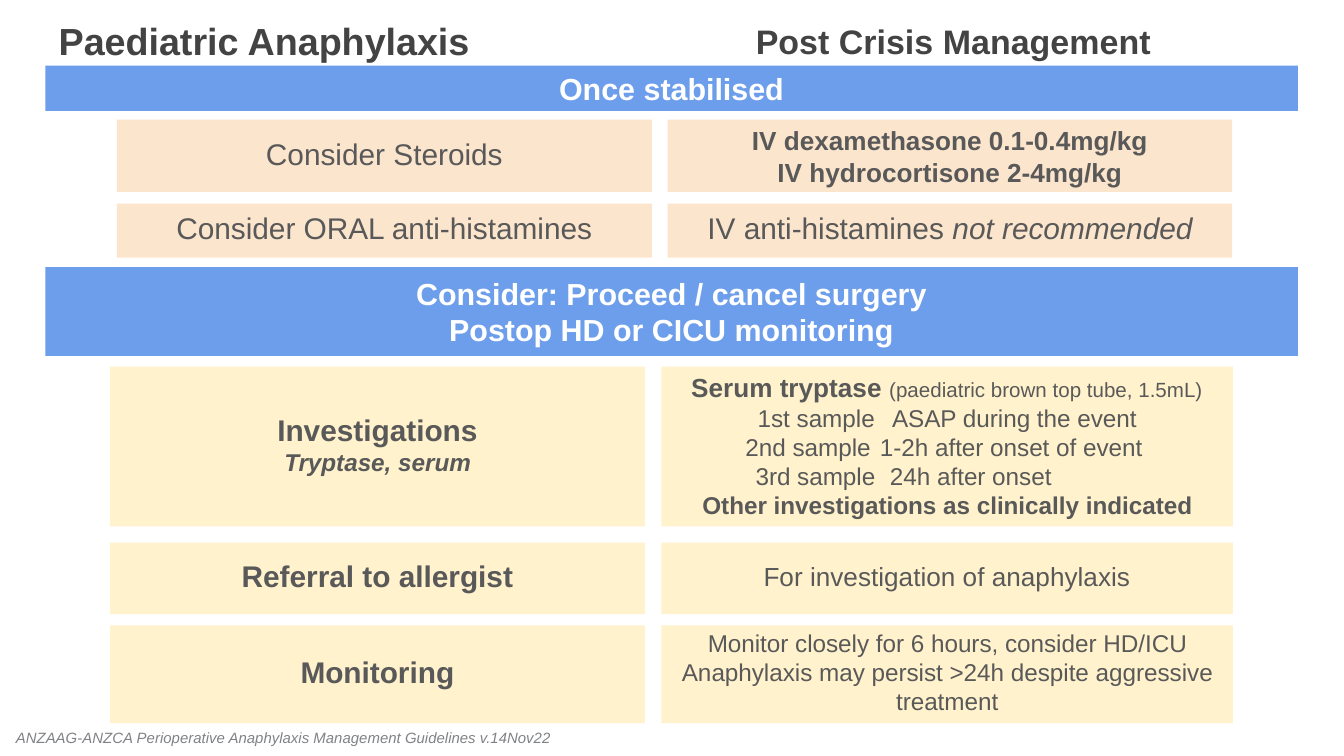
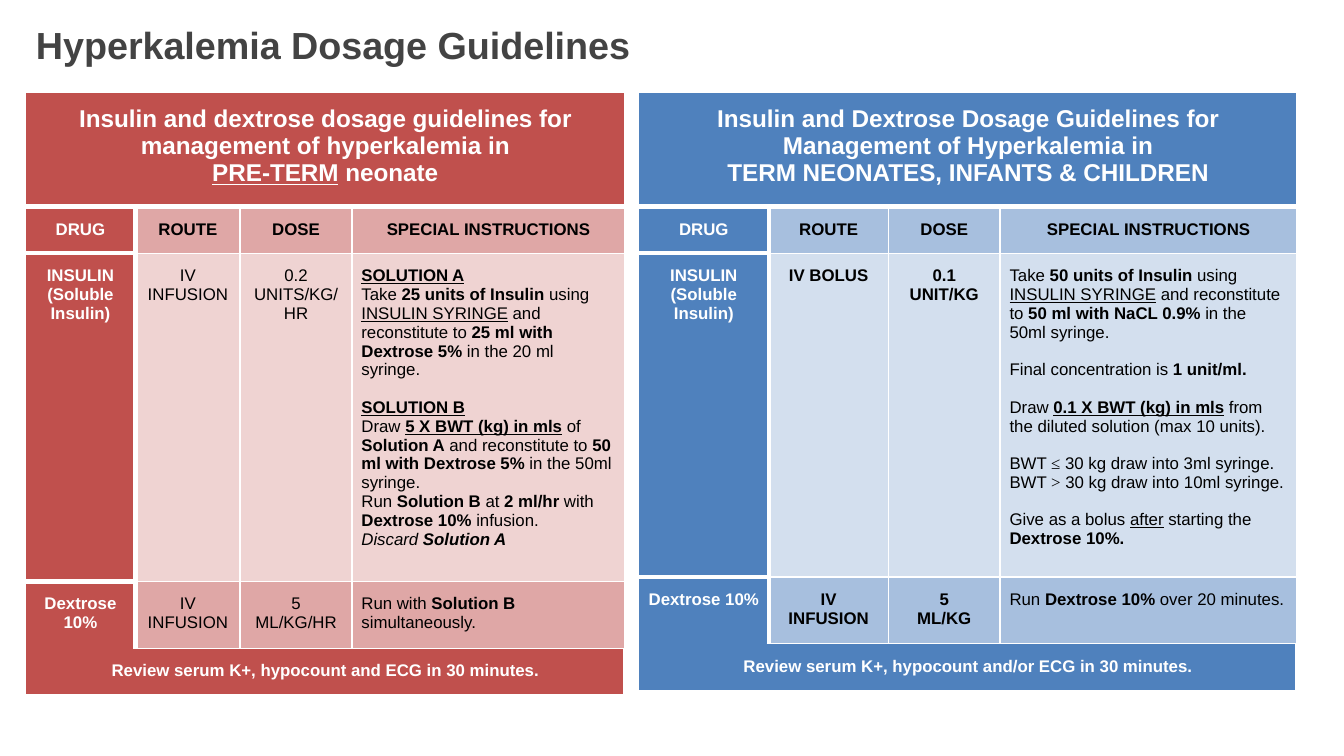
from itertools import accumulate

from lxml import etree
from pptx import Presentation
from pptx.dml.color import RGBColor
from pptx.enum.shapes import MSO_SHAPE
from pptx.enum.text import MSO_ANCHOR, PP_ALIGN
from pptx.oxml.ns import qn
from pptx.util import Cm, Pt

RECT = MSO_SHAPE.RECTANGLE
TOP, MIDDLE = MSO_ANCHOR.TOP, MSO_ANCHOR.MIDDLE
LEFT, CENTER = PP_ALIGN.LEFT, PP_ALIGN.CENTER

COLORS = {
    "white": "FFFFFF", "black": "000000", "title": "434343", "body": "595959",
    "source": "808285", "band": "6D9EEB", "peach": "FCE5CD", "cream": "FFF2CC",
    "red": "C0504D", "red_mid": "DFA7A6", "red_light": "EFD3D2",
    "blue": "4F81BD", "blue_mid": "A7BFDE", "blue_light": "D3DFEE",
}
FONT = "Arial"
SYMBOL = {"name": "Times New Roman"}
B, I, U = {"bold": True}, {"italic": True}, {"underline": True}
BU, BI = {**B, **U}, {**B, **I}
GAP = {"before": 10}
NO_STYLE = "{2D5ABB26-0587-4C30-8999-92F81FD0307C}"
THIN, THICK = 0.91, 2.73

TITLE = {"size": 20.2, "color": "title", "bold": True}
SUBTITLE = {**TITLE, "size": 18.2}
BAND = {"size": 16.3, "color": "white", "bold": True}
LARGE = {"size": 16, "color": "body"}
MEDIUM = {"size": 14, "color": "body"}
SMALL = {"size": 13, "color": "body"}
SOURCE = {"size": 8, "color": "source", "italic": True}

BANDS = [
    (1.24, 0.86, ["Once stabilised"]),
    (5.05, 1.68, ["Consider: Proceed / cancel surgery",
                  "Postop HD or CICU monitoring"]),
]

CARD_GROUPS = [
    ("peach", [(2.21, 10.11), (12.62, 10.67)], [
        (2.26, 1.37,
         (LARGE, MIDDLE, ["Consider Steroids"]),
         ({**MEDIUM, **B}, TOP, ["IV dexamethasone 0.1-0.4mg/kg",
                                 "IV hydrocortisone 2-4mg/kg"])),
        (3.85, 1.02,
         (LARGE, MIDDLE, ["Consider ORAL anti-histamines"]),
         (LARGE, MIDDLE, [["IV anti-histamines ", ("not recommended", I)]])),
    ]),
    ("cream", [(2.08, 10.11), (12.5, 10.8)], [
        (6.93, 3.02,
         ({**LARGE, **B}, MIDDLE,
          ["Investigations", [("Tryptase, serum", {**I, "size": 13})]]),
         (SMALL, TOP, [
             [("Serum tryptase ", {**B, "size": 14}),
              ("(paediatric brown top tube, 1.5mL)", {"size": 11})],
             ({"indent": 1.57, "tab": 4.1}, ["1st sample\tASAP during the event"]),
             ({"indent": 1.34, "tab": 4.01}, ["2nd sample\t1-2h after onset of event"]),
             ({"indent": 1.53, "tab": 5.46}, ["3rd sample\t24h after onset"]),
             [("Other investigations as clinically indicated", B)]])),
        (10.26, 1.35,
         ({**LARGE, **B}, MIDDLE, ["Referral to allergist"]),
         (MEDIUM, MIDDLE, ["For investigation of anaphylaxis"])),
        (11.82, 1.85,
         ({**LARGE, **B}, MIDDLE, ["Monitoring"]),
         (SMALL, MIDDLE, ["Monitor closely for 6 hours, consider HD/ICU",
                          "Anaphylaxis may persist >24h despite aggressive treatment"])),
    ]),
]

HEADINGS = ["DRUG", "ROUTE", "DOSE", "SPECIAL INSTRUCTIONS"]
DRUGS = [["INSULIN", "(Soluble Insulin)"], ["Dextrose 10%"]]
ROW_HEIGHTS = [2.03, 0.86, 5.84, 1.22, 0.86]
TABLE_TOP = 1.75

DOSAGE_TABLES = [
    {
        "hue": "red", "left": 0.48, "cols": [2.08, 1.98, 2.11, 5.16], "bold_dose": False,
        "heading": ["Insulin and dextrose dosage guidelines for",
                    "management of hyperkalemia in",
                    [("PRE-TERM", U), " neonate"]],
        "rows": [
            [["IV INFUSION"], ["0.2 UNITS/KG/HR"], [
                [("SOLUTION A", BU)],
                ["Take ", ("25 units of Insulin", B), " using ", ("INSULIN SYRINGE", U),
                 " and reconstitute to ", ("25 ml with Dextrose 5%", B),
                 " in the 20 ml syringe."],
                (GAP, [("SOLUTION B", BU)]),
                ["Draw ", ("5 X BWT (kg) in mls", BU), " of ", ("Solution A", B),
                 " and reconstitute to ", ("50 ml with Dextrose 5%", B),
                 " in the 50ml syringe."],
                ["Run ", ("Solution B", B), " at ", ("2 ml/hr", B), " with ",
                 ("Dextrose 10%", B), " infusion."],
                [("Discard ", I), ("Solution A", BI)]]],
            [["IV INFUSION"], ["5", "ML/KG/HR"],
             [["Run with ", ("Solution B", B), " simultaneously."]]],
        ],
        "review": "Review serum K+, hypocount and ECG in 30 minutes.",
    },
    {
        "hue": "blue", "left": 12.07, "cols": [2.46, 2.26, 2.11, 5.61], "bold_dose": True,
        "heading": ["Insulin and Dextrose Dosage Guidelines for",
                    "Management of Hyperkalemia in",
                    "TERM NEONATES, INFANTS & CHILDREN"],
        "rows": [
            [["IV BOLUS"], ["0.1", "UNIT/KG"], [
                ["Take ", ("50 units of Insulin", B), " using ", ("INSULIN SYRINGE", U),
                 " and reconstitute to ", ("50 ml with NaCL 0.9%", B),
                 " in the 50ml syringe."],
                (GAP, ["Final concentration is ", ("1 unit/ml.", B)]),
                (GAP, ["Draw ", ("0.1 X BWT (kg) in mls", BU),
                       " from the diluted solution (max 10 units)."]),
                (GAP, ["BWT ", ("≤", SYMBOL), " 30 kg draw into 3ml syringe."]),
                ["BWT ", (">", SYMBOL), " 30 kg draw into 10ml syringe."],
                (GAP, ["Give as a bolus ", ("after", U), " starting the ",
                       ("Dextrose 10%.", B)])]],
            [["IV INFUSION"], ["5", "ML/KG"],
             [["Run ", ("Dextrose 10%", B), " over 20 minutes."]]],
        ],
        "review": "Review serum K+, hypocount and/or ECG in 30 minutes.",
    },
]


def rgb(name):
    return RGBColor.from_string(COLORS[name])


def format_run(r, fmt):
    for key, value in {"name": FONT, **fmt}.items():
        if key == "color":
            r.font.color.rgb = rgb(value)
        else:
            setattr(r.font, key, Pt(value) if key == "size" else value)


def format_paragraph(p, layout, align):
    p.alignment = align
    if "before" in layout:
        p.space_before = Pt(layout["before"])
    if "tab" in layout:
        p.alignment = LEFT
        pPr = p._p.get_or_add_pPr()
        pPr.set("marL", str(Cm(layout["indent"])))
        pPr.set("indent", "0")
        tabs = etree.SubElement(pPr, qn("a:tabLst"))
        etree.SubElement(tabs, qn("a:tab"), pos=str(Cm(layout["tab"])), algn="l")


def write(tf, paragraphs, fmt, align=CENTER):
    for i, item in enumerate(paragraphs):
        layout, runs = item if isinstance(item, tuple) else ({}, item)
        p = tf.paragraphs[0] if i == 0 else tf.add_paragraph()
        format_paragraph(p, layout, align)
        for run in [runs] if isinstance(runs, str) else runs:
            text, extra = (run, {}) if isinstance(run, str) else run
            r = p.add_run()
            r.text = text
            format_run(r, {**fmt, **extra})


def add_box(s, box, paragraphs, fmt, fill=None, align=CENTER, anchor=MIDDLE,
            top=0.15, bottom=0.25):
    place = [Cm(v) for v in box]
    if fill:
        sp = s.shapes.add_shape(RECT, *place)
        sp.shadow.inherit = False
        sp.fill.solid()
        sp.fill.fore_color.rgb = rgb(fill)
        sp.line.fill.background()
    else:
        sp = s.shapes.add_textbox(*place)
    tf = sp.text_frame
    settings = {"word_wrap": True, "vertical_anchor": anchor,
                "margin_left": Cm(0.25), "margin_right": Cm(0.25),
                "margin_top": Cm(top), "margin_bottom": Cm(bottom)}
    for key, value in settings.items():
        setattr(tf, key, value)
    write(tf, paragraphs, fmt, align)
    return sp


def set_borders(cell, widths):
    tcPr = cell._tc.get_or_add_tcPr()
    for i, side in enumerate("LRTB"):
        if side in widths:
            ln = etree.Element(qn(f"a:ln{side}"), w=str(Pt(widths[side])))
            fill = etree.SubElement(ln, qn("a:solidFill"))
            etree.SubElement(fill, qn("a:srgbClr"), val=COLORS["white"])
            tcPr.insert(min(i, len(tcPr)), ln)


def border_widths(row, col):
    if row == 0:
        return {"L": THIN, "R": THIN, "T": THIN, "B": THICK}
    if row == 4:
        return {"L": THIN, "R": THICK, "B": THIN}
    widths = {"L": THICK if col == 1 else THIN, "R": THICK if col == 0 else THIN}
    if row == 1:
        widths.update(T=THICK, B=THICK if col == 0 else THIN)
    elif col:
        widths.update(T=THIN, B=THIN)
    elif row == 2:
        widths.update(T=THICK)
    return widths


def fill_cell(cell, row, col, paragraphs, hue, bold):
    strong = col == 0 or row in (0, 4)
    cell.fill.solid()
    cell.fill.fore_color.rgb = rgb(hue if strong else hue + ("_light" if row == 2 else "_mid"))
    for side, value in {"left": 0.18, "right": 0.18, "top": 0.25, "bottom": 0.25}.items():
        setattr(cell, f"margin_{side}", Cm(value))
    fmt = {"size": 13 if row == 0 else 9, "color": "white" if strong else "black",
           "bold": strong or row == 1 or (bold and col < 3)}
    write(cell.text_frame, paragraphs, fmt, LEFT if col == 3 and row > 1 else CENTER)
    set_borders(cell, border_widths(row, col))


def add_dosage_table(s, data):
    cols = data["cols"]
    frame = s.shapes.add_table(len(ROW_HEIGHTS), len(cols), Cm(data["left"]), Cm(TABLE_TOP),
                               Cm(sum(cols)), Cm(sum(ROW_HEIGHTS)))
    table = frame.table
    table._tbl.tblPr.find(qn("a:tableStyleId")).text = NO_STYLE
    table.first_row = table.horz_banding = False
    for column, width in zip(table.columns, cols):
        column.width = Cm(width)
    for row, height in zip(table.rows, ROW_HEIGHTS):
        row.height = Cm(height)
    body = [[drug, *row] for drug, row in zip(DRUGS, data["rows"])]
    rows = [[data["heading"]], [[h] for h in HEADINGS], *body, [[data["review"]]]]
    for r, cells in enumerate(rows):
        if len(cells) == 1:
            table.cell(r, 0).merge(table.cell(r, len(cols) - 1))
        for c, paragraphs in enumerate(cells):
            fill_cell(table.cell(r, c), r, c, paragraphs, data["hue"], data["bold_dose"])


def add_anaphylaxis_slide(prs):
    s = prs.slides.add_slide(prs.slide_layouts[6])
    add_box(s, (0.86, 0.18, 11.46, 1.17), ["Paediatric Anaphylaxis"], TITLE,
            align=LEFT, top=0.05, bottom=0.05)
    add_box(s, (12.62, 0.18, 10.8, 1.17), ["Post Crisis Management"], SUBTITLE,
            top=0.05, bottom=0.05)
    for top, height, lines in BANDS:
        add_box(s, (0.86, top, 23.67, height), lines, BAND, "band", bottom=0.15)
    for fill, columns, rows in CARD_GROUPS:
        for top, height, *cards in rows:
            for (left, width), (fmt, anchor, lines) in zip(columns, cards):
                add_box(s, (left, top, width, height), lines, fmt, fill, anchor=anchor,
                        top=0.1 if anchor == TOP else 0.15)
    add_box(s, (0.05, 13.61, 11.23, 0.66),
            ["ANZAAG-ANZCA Perioperative Anaphylaxis Management Guidelines v.14Nov22"],
            SOURCE, align=LEFT, anchor=TOP, top=0.25)


def add_hyperkalemia_slide(prs):
    s = prs.slides.add_slide(prs.slide_layouts[6])
    for data in DOSAGE_TABLES:
        add_dosage_table(s, data)
    add_box(s, (0.43, 0, 12.62, 1.57), ["Hyperkalemia Dosage Guidelines"], TITLE,
            align=LEFT, top=0.36)


def main():
    prs = Presentation()
    prs.slide_width, prs.slide_height = Cm(25.4), Cm(14.29)
    add_anaphylaxis_slide(prs)
    add_hyperkalemia_slide(prs)
    prs.save("out.pptx")


if __name__ == "__main__":
    main()
